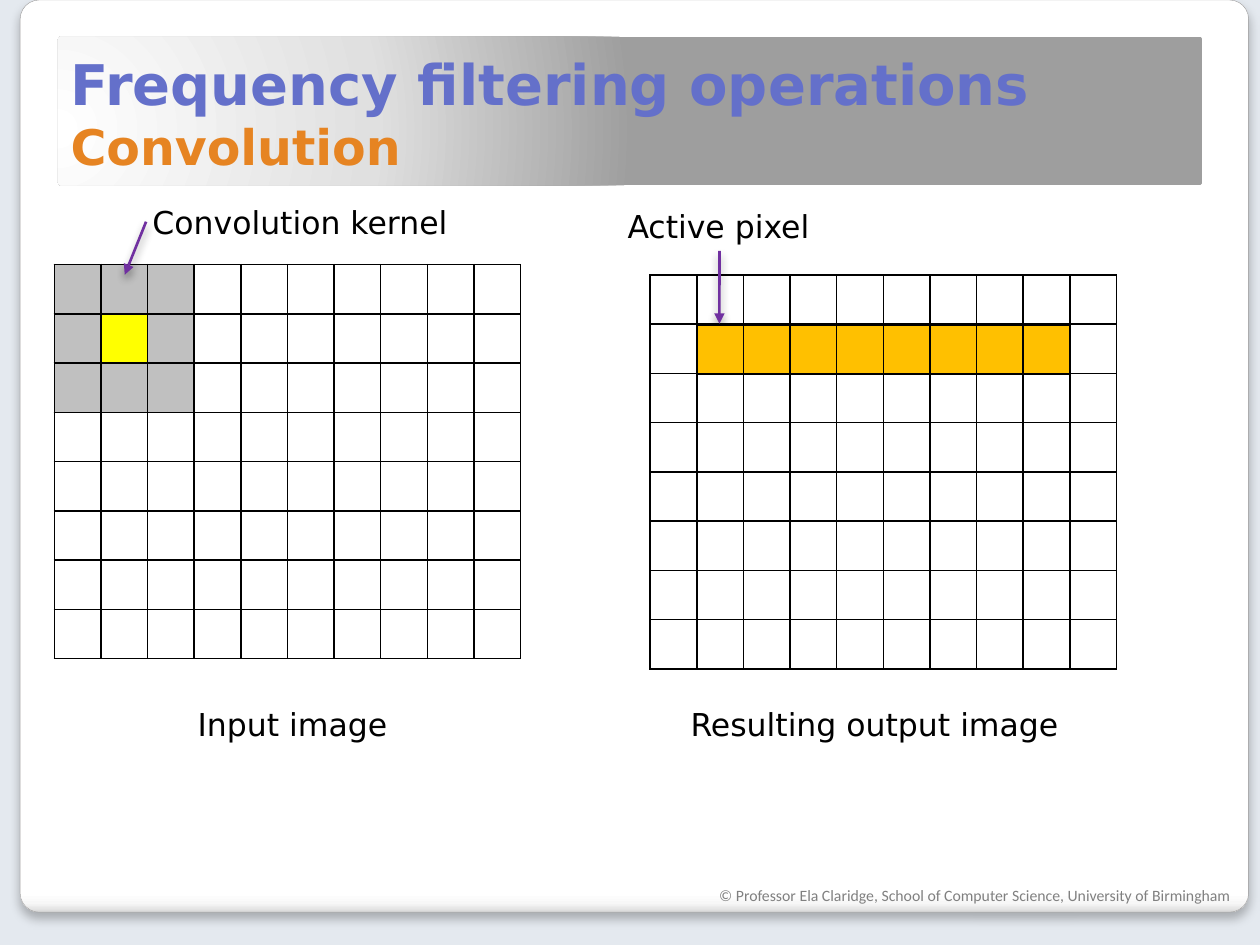
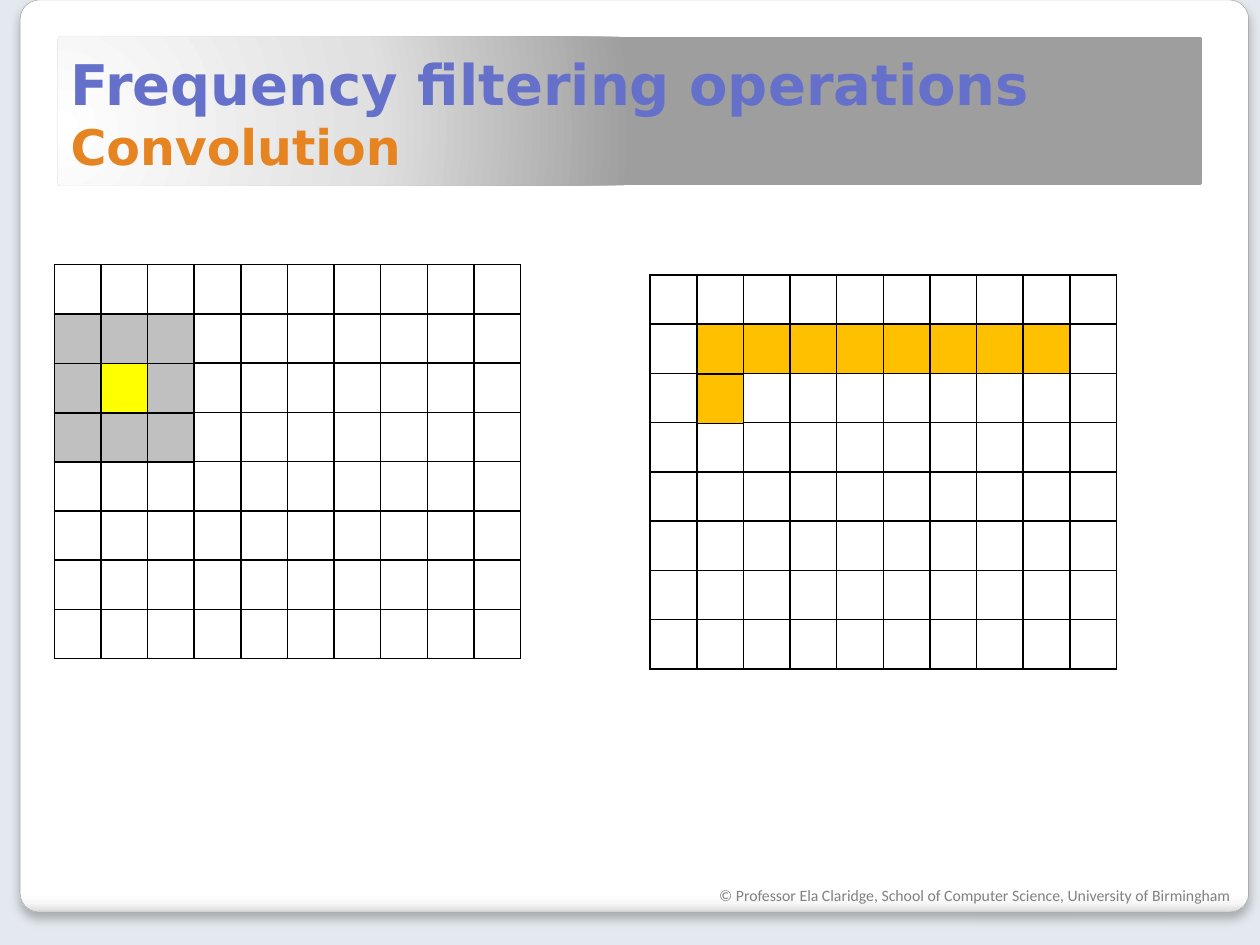
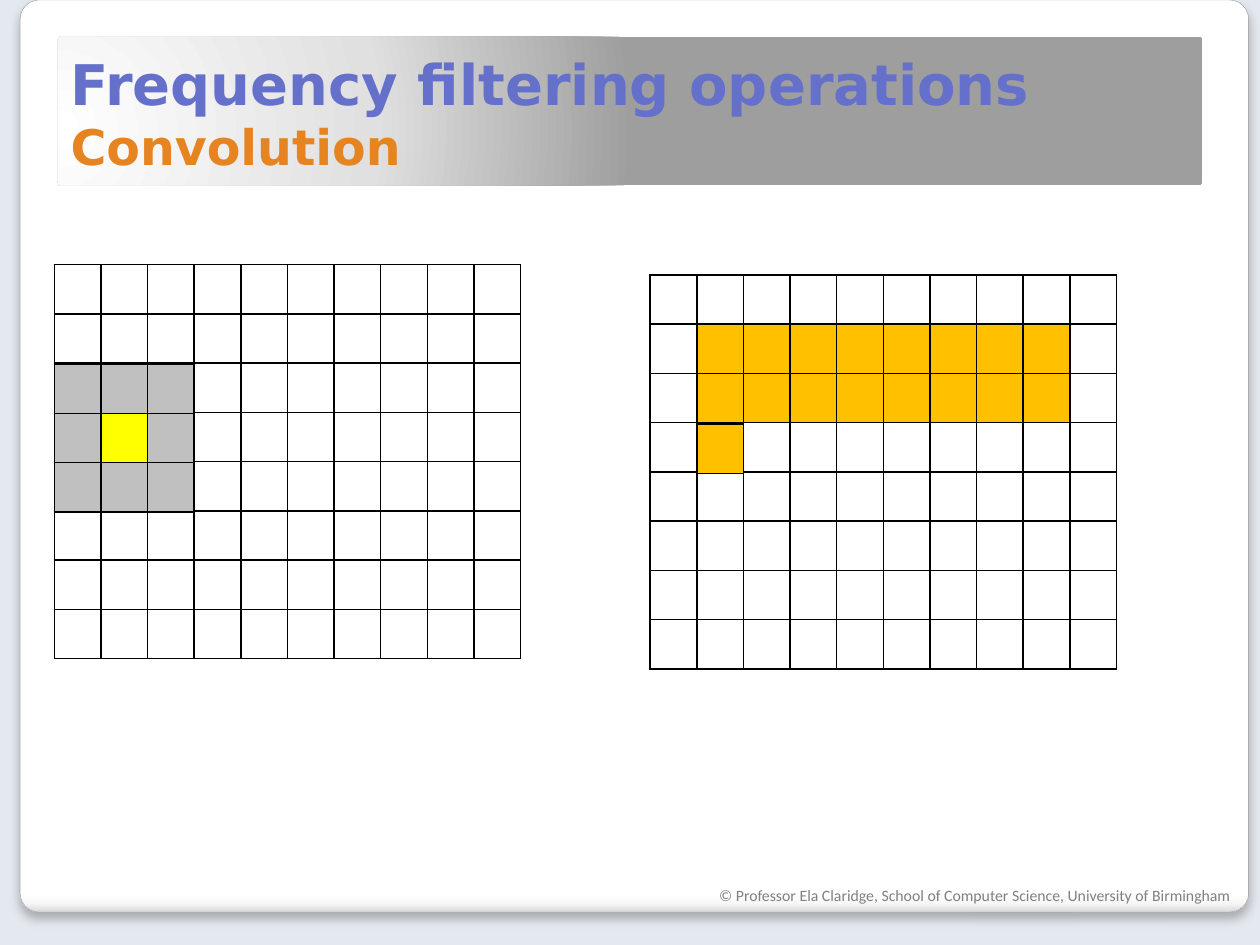
from pptx import Presentation
from pptx.dml.color import RGBColor
from pptx.enum.shapes import MSO_CONNECTOR, MSO_SHAPE
from pptx.enum.text import MSO_ANCHOR, MSO_AUTO_SIZE
from pptx.oxml import parse_xml
from pptx.oxml.ns import nsdecls, qn
from pptx.util import Pt

ROUNDED = MSO_SHAPE.ROUNDED_RECTANGLE
STRAIGHT = MSO_CONNECTOR.STRAIGHT
BOTTOM = MSO_ANCHOR.BOTTOM
GROW = MSO_AUTO_SIZE.SHAPE_TO_FIT_TEXT

BACKDROP, PANEL_EDGE, INK, MUTED = "E4E9EF", "A2A1A1", "000000", "808080"
BLUE, ORANGE, PURPLE = "6470CA", "E68422", "7030A0"
GREY, YELLOW, AMBER = "C0C0C0", "FFFF00", "FFC000"
HEADING_FONT, FOOTER_FONT = "DejaVu Sans", "Calibri"

TITLE = [("Frequency filtering operations", 32, BLUE), ("Convolution", 28, ORANGE)]
FOOTER = "© Professor Ela Claridge, School of Computer Science, University of Birmingham"

PANEL = (11.5, 0, 702, 521.3)
BAND = (33.1, 20.9, 653.8, 85)
TITLE_BOX = (36.7, 20.9, 644.4, 82.8)
FOOTER_BOX = (403.9, 502.6, 326.2, 18.7)
PANEL_STOPS = [(0, "FFFFFF"), (98, "FFFFFF"), (99, "F7F7F7"), (100, "D9D9D9")]
BAND_STOPS = [(0, "FFFFFF"), (55, "E0E0E0"), (100, "9E9E9E")]
PANEL_PATH = '<a:lin ang="5400000" scaled="0"/>'
BAND_PATH = ('<a:path path="circle"><a:fillToRect l="-20000" t="62000" '
             'r="120000" b="38000"/></a:path>')

COLS, ROWS = 10, 8
CELL_W, CELL_H, STEP = 26.65, 28.15, 28.4
INPUT_LEFT, INPUT_TOP = 31, 151.2
OUTPUT_LEFT, OUTPUT_TOP = 371.5, 157
ACTIVE_LEFT, ACTIVE_TOP = OUTPUT_LEFT + CELL_W, 185.6
DONE_COLS = range(1, COLS - 1)
KERNEL = [[GREY] * 3, [GREY, YELLOW, GREY], [GREY] * 3]

LABEL_H, INSET = 28.8, 3.6
LABELS = [
    ("Input image", 109.4, 399.6, 118.8, None),
    ("Resulting output image", 391, 399.6, 220.3, None),
    ("Convolution kernel", 83.5, 112.3, 178.6, (1, 71.3, 157)),
    ("Active pixel", 355, 114.5, 112.3, (2, 411.1, 185)),
]


def rgb(value):
    return RGBColor.from_string(value)


def pts(*values):
    return [Pt(v) for v in values]


def effects(alpha=0, blur=0, dist=0):
    shadow = (f'<a:outerShdw blurRad="{Pt(blur)}" dist="{Pt(dist)}" dir="5400000" '
              f'rotWithShape="0"><a:srgbClr val="000000"><a:alpha val="{alpha * 1000}"/>'
              '</a:srgbClr></a:outerShdw>')
    return parse_xml(f'<a:effectLst {nsdecls("a")}>{shadow}</a:effectLst>')


def add_gradient_box(s, box, stops, path):
    sp = s.shapes.add_shape(ROUNDED, *pts(*box))
    sp.adjustments[0] = 0.021
    sp.shadow.inherit = False
    sp.fill.background()
    sp.line.fill.background()
    gs = "".join(f'<a:gs pos="{pos * 1000}"><a:srgbClr val="{color}"/></a:gs>'
                 for pos, color in stops)
    grad = parse_xml(f'<a:gradFill {nsdecls("a")} rotWithShape="1">'
                     f'<a:gsLst>{gs}</a:gsLst>{path}</a:gradFill>')
    spPr = sp._element.spPr
    spPr.replace(spPr.find(qn("a:noFill")), grad)
    return sp


def add_text(s, box, runs, font, bold=False, inset=None):
    sp = s.shapes.add_textbox(*pts(*box))
    tf = sp.text_frame
    tf.word_wrap = True
    if inset is not None:
        tf.margin_left = tf.margin_right = tf.margin_top = tf.margin_bottom = Pt(inset)
    p = tf.paragraphs[0]
    p.font.name, p.font.bold = font, bold
    for i, (text, size, color) in enumerate(runs):
        if i:
            p.add_line_break()
        r = p.add_run()
        r.text = text
        r.font.size = Pt(size)
        r.font.color.rgb = rgb(color)
    return sp


def add_cells(s, left, top, fills, cell_w=CELL_W):
    rows, cols = len(fills), len(fills[0])
    table = s.shapes.add_table(rows, cols, *pts(left, top, cols * cell_w, rows * CELL_H)).table
    table.first_row = table.horz_banding = False
    for i, row in enumerate(fills):
        for j, color in enumerate(row):
            cell = table.cell(i, j)
            cell.margin_top = cell.margin_bottom = 0
            tcPr = cell._tc.get_or_add_tcPr()
            for side in "LRTB":
                tcPr.append(parse_xml(
                    f'<a:ln{side} {nsdecls("a")} w="{Pt(1)}"><a:solidFill>'
                    f'<a:srgbClr val="{INK}"/></a:solidFill></a:ln{side}>'))
            if color:
                cell.fill.solid()
                cell.fill.fore_color.rgb = rgb(color)
            else:
                cell.fill.background()


def add_grid(s, left, top, done_rows=0):
    add_cells(s, left, top, [
        [AMBER if 1 <= i <= done_rows and j in DONE_COLS else None for j in range(COLS)]
        for i in range(ROWS)])


def add_label(s, text, left, top, width, arrow):
    sp = add_text(s, (left, top, width, LABEL_H), [(text, 18, INK)], HEADING_FONT, inset=INSET)
    sp.text_frame.word_wrap = False
    sp.text_frame.auto_size = GROW
    if arrow:
        side, x, y = arrow
        line = s.shapes.add_connector(STRAIGHT, *pts(left, top, x, y))
        line.begin_connect(sp, side)
        line.line.color.rgb = rgb(PURPLE)
        line.line.width = Pt(1.5)
        line.line._get_or_add_ln().append(
            parse_xml(f'<a:tailEnd {nsdecls("a")} type="triangle"/>'))
        line._element.spPr.append(effects(40, 5, 3))


def add_base(prs):
    s = prs.slides.add_slide(prs.slide_layouts[6])
    s.background.fill.solid()
    s.background.fill.fore_color.rgb = rgb(BACKDROP)
    panel = add_gradient_box(s, PANEL, PANEL_STOPS, PANEL_PATH)
    panel.line.color.rgb = rgb(PANEL_EDGE)
    panel.line.width = Pt(0.25)
    spPr = panel._element.spPr
    spPr.replace(spPr.find(qn("a:effectLst")), effects(25, 6, 4))
    add_gradient_box(s, BAND, BAND_STOPS, BAND_PATH)
    add_text(s, FOOTER_BOX, [(FOOTER, 9, MUTED)], FOOTER_FONT)
    return s


def add_step(prs, step):
    s = add_base(prs)
    if step == 0:
        add_cells(s, ACTIVE_LEFT, ACTIVE_TOP, [[AMBER]], len(DONE_COLS) * CELL_W)
    title = add_text(s, TITLE_BOX, TITLE, HEADING_FONT, bold=True, inset=INSET)
    title.text_frame.vertical_anchor = BOTTOM
    add_grid(s, INPUT_LEFT, INPUT_TOP)
    add_grid(s, OUTPUT_LEFT, OUTPUT_TOP, step)
    add_cells(s, INPUT_LEFT, INPUT_TOP + step * STEP, KERNEL)
    if step == 0:
        for label in LABELS:
            add_label(s, *label)
    add_cells(s, ACTIVE_LEFT, ACTIVE_TOP + step * STEP, [[AMBER]])


def main():
    prs = Presentation()
    prs.slide_width, prs.slide_height = pts(720, 540)
    for step in range(3):
        add_step(prs, step)
    prs.save("out.pptx")


if __name__ == "__main__":
    main()
